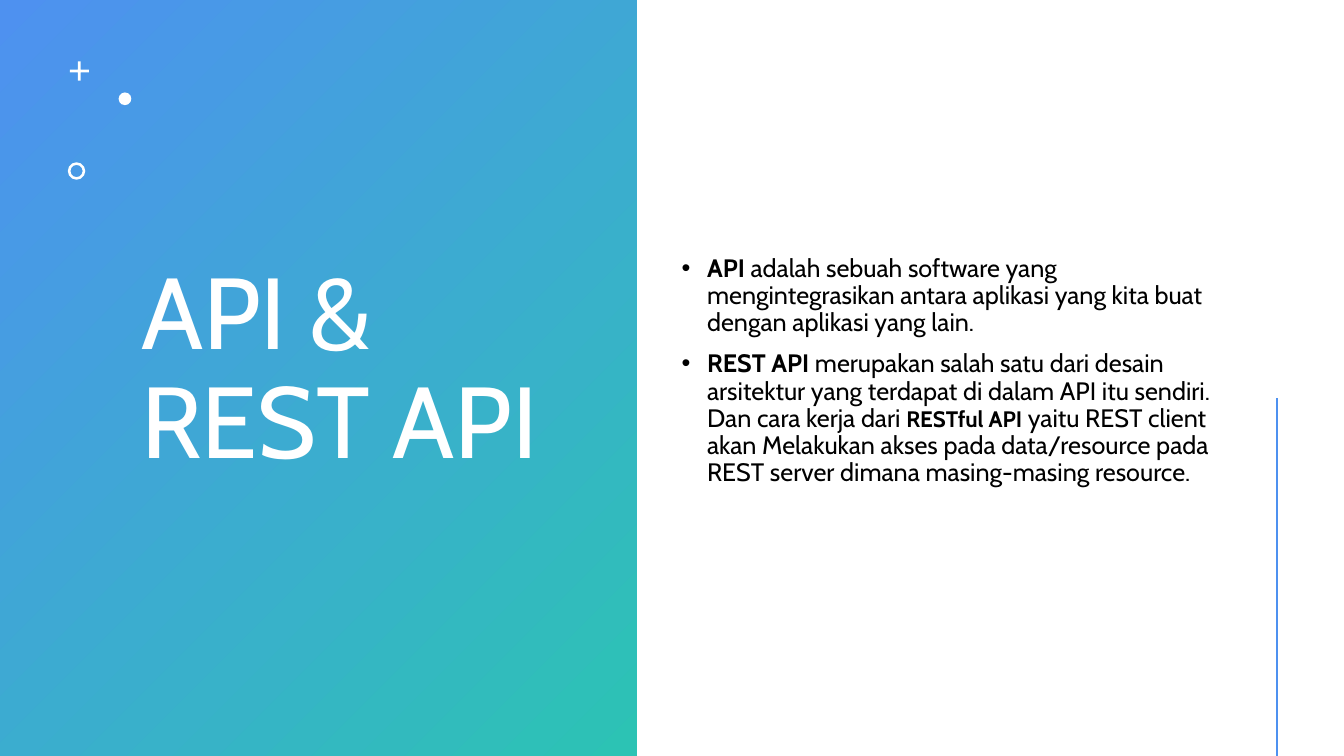
import pptx
import pptx.util
import pptx.dml.color
import pptx.enum.shapes
import pptx.enum.text
import pptx.oxml
import lxml.etree

Cm, Pt = pptx.util.Cm, pptx.util.Pt
Kind = pptx.enum.shapes.MSO_SHAPE
BLUE, GREEN, WHITE, BLACK = "4E91F0", "2CC3B4", "FFFFFF", "000000"
FONT = "Cabin"

TITLE = "API & REST API"
POINTS = [
    [("API\u00a0", 18, True),
     ("adalah sebuah software yang mengintegrasikan antara aplikasi "
      "yang kita buat dengan aplikasi yang lain.", 18, False)],
    [("REST API\u00a0", 18, True),
     ("merupakan salah satu dari desain arsitektur yang terdapat di dalam "
      "API itu sendiri. Dan cara kerja dari\u00a0", 18, False),
     ("RESTful API", 16, True),
     ("\u00a0yaitu REST client akan Melakukan akses pada data/resource pada "
      "REST server dimana masing-masing resource.", 18, False)],
]
MARKS = [
    (Kind.CROSS, 1.76, 1.55, 0.48, 0.43),
    (Kind.OVAL, 2.99, 2.33, 0.32, None),
    (Kind.DONUT, 1.71, 4.09, 0.44, 0.15),
]
PANEL = (0, 0, 16.05, 19.05)
HEAD = (3.3, 1.06, 11.13, 16.59)
BODY = (16.93, 1.06, 13.84, 16.59)
RULE = (32.18, 10.03, 32.18, 19.05)


def color(code):
    """Turn a hex string into a colour."""
    return pptx.dml.color.RGBColor.from_string(code)


def lengths(box):
    """Turn numbers into centimetre lengths."""
    return [Cm(n) for n in box]


def shape(slide, kind, box):
    """Add a shape with no line and no shadow."""
    item = slide.shapes.add_shape(kind, *lengths(box))
    item.shadow.inherit = False
    item.line.fill.background()
    return item


def style(run, size, code, bold=False):
    """Set the font of a run."""
    run.font.name, run.font.size, run.font.bold = FONT, Pt(size), bold
    run.font.color.rgb = color(code)


def frame(item):
    """Wrap text and centre it vertically."""
    text = item.text_frame
    text.word_wrap = True
    text.auto_size = pptx.enum.text.MSO_AUTO_SIZE.NONE
    text.vertical_anchor = pptx.enum.text.MSO_ANCHOR.MIDDLE
    return text


def bullet(para):
    """Give a paragraph a hanging bullet."""
    props = para._p.get_or_add_pPr()
    props.set("marL", str(Cm(0.64)))
    props.set("indent", str(-Cm(0.64)))
    for tag, key, value in (("a:buFont", "typeface", "Arial"),
                            ("a:buChar", "char", "\u2022")):
        node = lxml.etree.SubElement(props, pptx.oxml.ns.qn(tag))
        node.set(key, value)


deck = pptx.Presentation()
deck.slide_width, deck.slide_height = Cm(33.87), Cm(19.05)
slide = deck.slides.add_slide(deck.slide_layouts[5])

panel = shape(slide, Kind.RECTANGLE, PANEL)
panel.fill.gradient()
panel.fill.gradient_angle = 315
for stop, code in zip(panel.fill.gradient_stops, (BLUE, GREEN)):
    stop.color.rgb = color(code)

title = slide.shapes.title
title.left, title.top, title.width, title.height = lengths(HEAD)
slide.shapes._spTree.append(title._element)
text = frame(title)
text.text = TITLE
para = text.paragraphs[0]
para.alignment = pptx.enum.text.PP_ALIGN.LEFT
para.line_spacing = 0.9
style(para.runs[0], 72, WHITE)

for kind, left, top, size, ratio in MARKS:
    mark = shape(slide, kind, (left, top, size, size))
    mark.fill.solid()
    mark.fill.fore_color.rgb = color(WHITE)
    if ratio:
        mark.adjustments[0] = ratio

text = frame(slide.shapes.add_textbox(*lengths(BODY)))
for place, parts in enumerate(POINTS):
    para = text.add_paragraph() if place else text.paragraphs[0]
    para.line_spacing, para.space_before = 0.9, Pt(10)
    bullet(para)
    for words, size, bold in parts:
        run = para.add_run()
        run.text = words
        style(run, size, BLACK, bold)

rule = slide.shapes.add_connector(
    pptx.enum.shapes.MSO_CONNECTOR.STRAIGHT, *lengths(RULE))
rule.line.width = Pt(2)
rule.line.color.rgb = color(BLUE)
lxml.etree.SubElement(rule._element.spPr, pptx.oxml.ns.qn("a:effectLst"))

deck.save("out.pptx")
